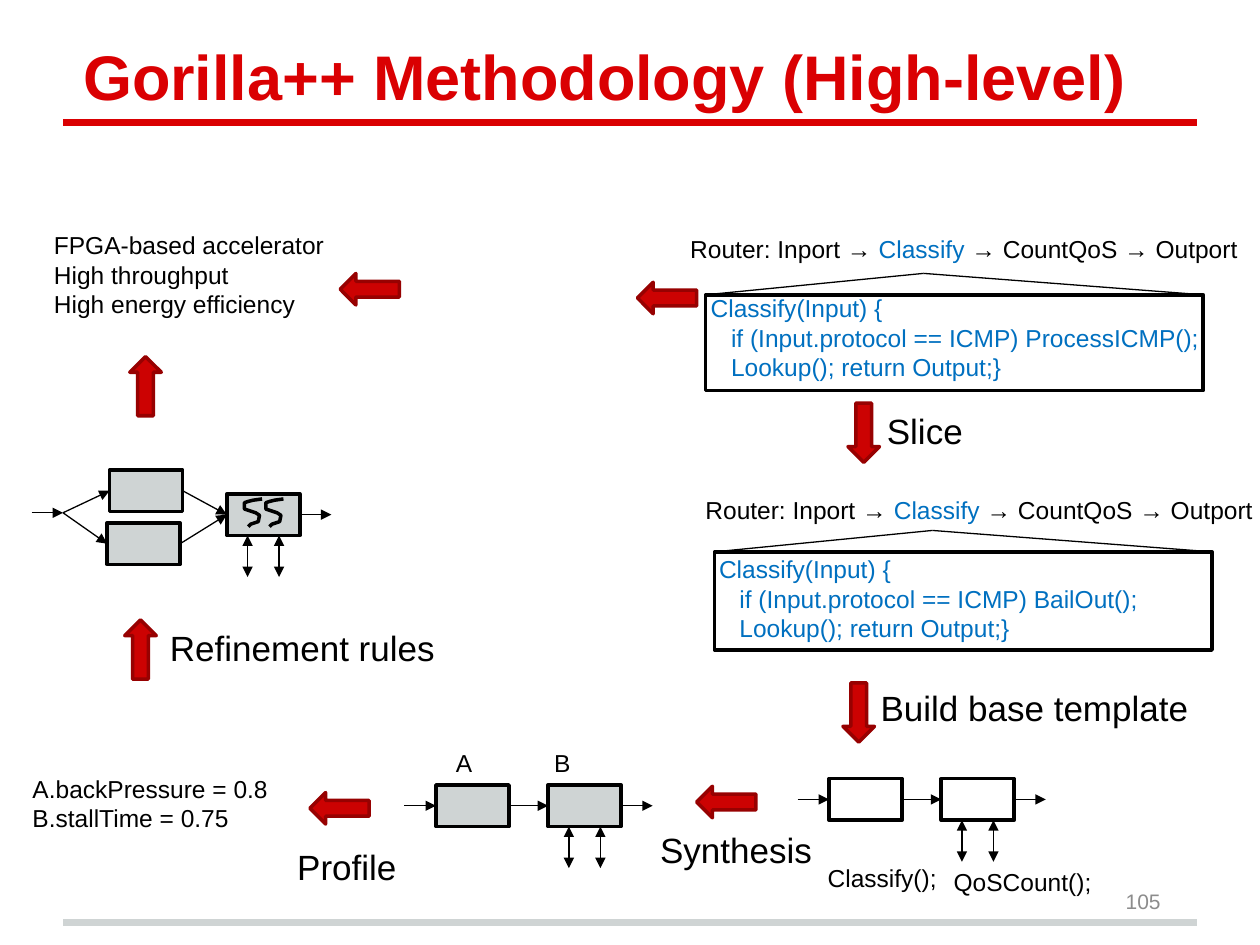
"""Builds the Gorilla++ methodology slide on a grid of 100 columns by 75 rows."""
from lxml import etree
from pptx import Presentation
from pptx import util as u
from pptx.dml.color import RGBColor
from pptx.enum import shapes, text
from pptx.oxml.ns import qn

COLORS = {"title": "DA0002", "rule": "CFD4D4", "stage": "CFD4D4", "white": "FFFFFF",
          "black": "000000", "code": "0070C0", "arrow": "CC0202", "arrow_edge": "970101",
          "number": "8C8C8C"}
COLUMNS, ROWS = 100, 75
CELL = u.Inches(10) / COLUMNS

TITLE = "Gorilla++ Methodology (High-level)"
ROUTER = [("Router: Inport → ", "black"), ("Classify ", "code"), ("→ CountQoS → Outport", "black")]
LISTINGS = [
    {"text_at": (53.8, 18.1, 46.4, 12.8), "frame": (56, 23.4, 39.5, 7.6), "gap": 17,
     "code": ["   Classify(Input) {",
              "      if (Input.protocol == ICMP) ProcessICMP();",
              "      Lookup(); return Output;}"]},
    {"text_at": (55, 38.8, 45.9, 12.8), "frame": (56.7, 43.8, 39.5, 7.8), "gap": 17,
     "code": ["  Classify(Input) {",
              "     if (Input.protocol == ICMP) BailOut();",
              "     Lookup(); return Output;}"]},
]
STEPS = [("Slice", (69.4, 32, 14.1, 4.4)), ("Build base template", (68.9, 54, 33.7, 4.4)),
         ("Synthesis", (51.4, 65.3, 27.8, 4.4)), ("Profile", (22.6, 66.6, 27.8, 4.4)),
         ("Refinement rules", (12.5, 49.2, 27.8, 4.4))]
NOTES = [(["FPGA-based accelerator", "High throughput", "High energy efficiency"],
          (3.3, 17.8, 25.6, 8.1)),
         (["A.backPressure = 0.8", "B.stallTime = 0.75"], (1.6, 60.9, 22.4, 5.7)),
         (["Classify();"], (64.7, 68, 30.8, 3.4)), (["QoSCount();"], (74.7, 68.3, 30.8, 3.4)),
         (["A"], (35.2, 58.9, 2.6, 3.4)), (["B"], (43, 58.9, 2.6, 3.4))]
ARROWS = {"DOWN_ARROW": [(67.3, 32), (66.9, 54.2)], "UP_ARROW": [(9.9, 49.2), (10.3, 28.3)],
          "LEFT_ARROW": [(55.3, 62.4), (24.6, 62.9), (50.6, 22.4), (27, 21.7)]}
ARROW_LONG, ARROW_WIDE = 4.7, 2.5
PIPELINES = [((65.8, 61.8), "white"), ((34.6, 62.3), "stage")]
STAGE_W, STAGE_H, STAGE_PITCH, FLOW = 5.8, 3.3, 8.9, 2.5
PARALLEL_STAGES = [(8.7, 37.3), (8.5, 41.5)]
MERGE_STAGE, FORK = (18, 39.2), (5, 40.7)
THREAD = [(20.8, 39.6), (20.1, 39.7), (19.7, 39.8), (19.4, 39.9), (19.4, 40.4), (19.7, 40.5),
          (20, 40.6), (20.3, 40.7), (20.6, 40.9), (20.5, 41.4), (19.9, 41.6), (19.7, 41.8)]
THREAD_SHIFTS = [0, 1.7]

deck = Presentation()
deck.slide_width, deck.slide_height = u.Emu(int(COLUMNS * CELL)), u.Emu(int(ROWS * CELL))
page = deck.slides.add_slide(deck.slide_layouts[6])


def cells(values):
    return [u.Emu(round(value * CELL)) for value in values]


def color(name):
    return RGBColor.from_string(COLORS[name])


def write(paragraphs, at, *, size=14, ink="black", bold=False, anchor="TOP", align="LEFT",
          inset=1, gaps=None):
    box = page.shapes.add_textbox(*cells(at))
    frame = box.text_frame
    frame.word_wrap = True
    frame.margin_left = cells([inset])[0]
    frame.vertical_anchor = text.MSO_ANCHOR[anchor]
    for index, spans in enumerate(paragraphs):
        para = frame.paragraphs[0] if index == 0 else frame.add_paragraph()
        para.alignment = text.PP_ALIGN[align]
        if gaps and index in gaps:
            para.space_before = u.Pt(gaps[index])
        for words, tint in [(spans, ink)] if isinstance(spans, str) else spans:
            span = para.add_run()
            span.text = words
            span.font.name, span.font.size, span.font.bold = "Arial", u.Pt(size), bold
            span.font.color.rgb = color(tint)
    return box


def style(shape, fill, edge="black"):
    shape.shadow.inherit = False
    if fill:
        shape.fill.solid()
        shape.fill.fore_color.rgb = color(fill)
    else:
        shape.fill.background()
    shape.line.color.rgb = color(edge)
    shape.line.width = u.Pt(2)


def draw(kind, at, fill, edge="black"):
    style(page.shapes.add_shape(shapes.MSO_SHAPE[kind], *cells(at)), fill, edge)


def connect(start, end, ends=(), ink="black", width=0.75):
    link = page.shapes.add_connector(shapes.MSO_CONNECTOR.STRAIGHT, *cells(start + end))
    link.line.color.rgb = color(ink)
    link.line.width = u.Pt(width)
    outline = link.line._get_or_add_ln()
    for name in ends:
        etree.SubElement(outline, qn("a:" + name)).set("type", "triangle")
    etree.SubElement(link._element.spPr, qn("a:effectLst"))


def flow(start, end):
    connect(start, end, ["tailEnd"])


def stage(left, top, fill):
    draw("RECTANGLE", (left, top, STAGE_W, STAGE_H), fill)


def memory_stage(left, top, fill):
    stage(left, top, fill)
    middle, right, bottom = top + STAGE_H / 2, left + STAGE_W, top + STAGE_H
    flow((right, middle), (right + FLOW, middle))
    for shift in (1.65, 4.15):
        connect((left + shift, bottom), (left + shift, bottom + STAGE_H), ["headEnd", "tailEnd"])


def pipeline(left, top, fill):
    middle, second = top + STAGE_H / 2, left + STAGE_PITCH
    stage(left, top, fill)
    memory_stage(second, top, fill)
    flow((left - FLOW, middle), (left, middle))
    flow((left + STAGE_W, middle), (second, middle))


def refined_pipeline():
    memory_stage(*MERGE_STAGE, "stage")
    merge = (MERGE_STAGE[0], MERGE_STAGE[1] + STAGE_H / 2)
    flow((FORK[0] - FLOW, FORK[1]), FORK)
    for left, top in PARALLEL_STAGES:
        middle = top + STAGE_H / 2
        stage(left, top, "stage")
        flow(FORK, (left, middle))
        flow((left + STAGE_W, middle), merge)
    for shift in THREAD_SHIFTS:
        points = [tuple(cells((x + shift, y))) for x, y in THREAD]
        builder = page.shapes.build_freeform(*points[0])
        builder.add_line_segments(points[1:], close=False)
        style(builder.convert_to_shape(), None)


def listing(item):
    left, top, width, height = item["frame"]
    write([ROUTER] + [[(line, "code")] for line in item["code"]], item["text_at"],
          gaps={1: item["gap"]})
    draw("RECTANGLE", item["frame"], None)
    peak = (left + 17.3, top - 1.7)
    for corner in (left, left + width):
        connect(peak, (corner, top))


for row, ink in ((73.2, "rule"), (9.7, "title")):
    connect((5, row), (95, row), ink=ink, width=4)
write([TITLE], (3.1, 5, 90, 4.5), size=36, ink="title", bold=True, anchor="BOTTOM", inset=3.5)
for item in LISTINGS:
    listing(item)
for corner, fill in PIPELINES:
    pipeline(*corner, fill)
refined_pipeline()
for kind, corners in ARROWS.items():
    for corner in corners:
        extent = (ARROW_LONG, ARROW_WIDE) if kind == "LEFT_ARROW" else (ARROW_WIDE, ARROW_LONG)
        draw(kind, corner + extent, "arrow", "arrow_edge")
for label, at in STEPS:
    write([label], at, size=20)
for lines, at in NOTES:
    write(lines, at)
write(["105"], (70.6, 69.5, 22.5, 4), size=12, ink="number", anchor="MIDDLE", align="RIGHT")

deck.save("out.pptx")
